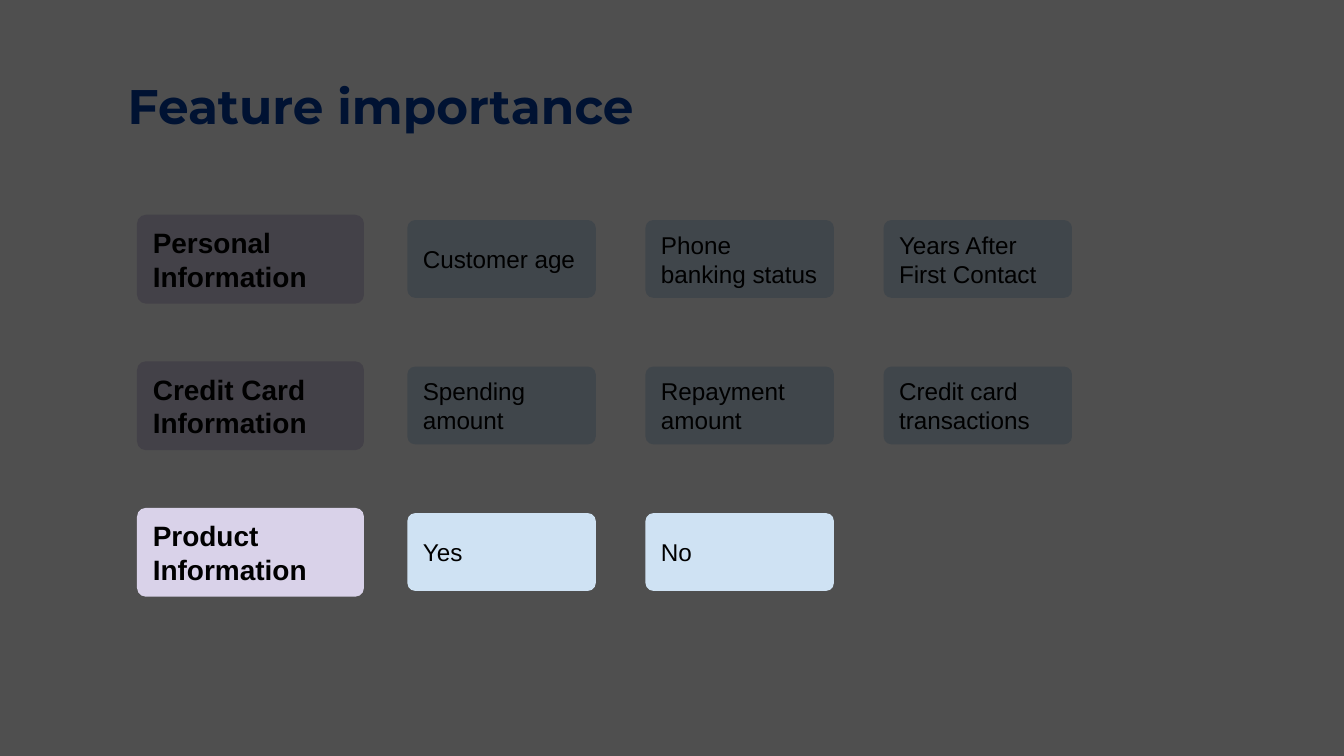
from lxml.etree import SubElement
from pptx import Presentation
from pptx.dml.color import RGBColor
from pptx.enum.shapes import MSO_SHAPE as Kind
from pptx.enum.text import MSO_ANCHOR as Anchor, PP_ALIGN as Align
from pptx.oxml.ns import qn
from pptx.util import Cm, Pt

BLACK = RGBColor(0x00, 0x00, 0x00)
NAVY = RGBColor(0x00, 0x3B, 0xA3)
BLUE = RGBColor(0x4A, 0x8C, 0xFF)
LILAC = RGBColor(0xD9, 0xD2, 0xE9)
SKY = RGBColor(0xCF, 0xE2, 0xF3)

ROWS = [
    ("Personal Information",
     ["Customer age", "Phone banking status", "Years After\nFirst Contact"]),
    ("Credit Card\nInformation",
     ["Spending amount", "Repayment\namount", "Credit card transactions"]),
    ("Product Information", ["Yes", "No"]),
]
TOP, PITCH = 4.06, 2.77
LEFT, STEP = 7.7, 4.5


def write(shape, text, size, font="Arial", color=BLACK, bold=False,
          align=Align.LEFT, anchor=Anchor.MIDDLE):
    frame = shape.text_frame
    frame.text = text
    frame.word_wrap = True
    frame.vertical_anchor = anchor
    frame.margin_left = frame.margin_right = Cm(0.25)
    frame.margin_top = frame.margin_bottom = Cm(0.25)
    for para in frame.paragraphs:
        para.alignment = align
        for run in para.runs:
            run.font.name = font
            run.font.size = Pt(size)
            run.font.bold = bold
            run.font.color.rgb = color


def add_title(slide, text):
    box = slide.shapes.add_textbox(Cm(0), Cm(1.19), Cm(14.4), Cm(1.78))
    write(box, text, 26, "Montserrat", NAVY, True, Align.CENTER, Anchor.TOP)


def add_card(slide, text, x, y, width, height, fill, size, bold=False):
    card = slide.shapes.add_shape(
        Kind.ROUNDED_RECTANGLE, Cm(x), Cm(y), Cm(width), Cm(height))
    card.adjustments[0] = 0.1
    card.shadow.inherit = False
    card.fill.solid()
    card.fill.fore_color.rgb = fill
    card.line.fill.background()
    write(card, text, size, bold=bold)


def add_row(slide, index):
    group, names = ROWS[index]
    y = TOP + index * PITCH
    add_card(slide, group, 2.59, y, 4.29, 1.68, LILAC, 15, True)
    for col, name in enumerate(names):
        add_card(slide, name, LEFT + col * STEP, y + 0.1, 3.56, 1.47, SKY, 13)


def add_shade(slide):
    shade = slide.shapes.add_shape(
        Kind.RECTANGLE, Cm(-6.71), Cm(-0.28), Cm(35.81), Cm(15.7))
    shade.shadow.inherit = False
    shade.fill.solid()
    shade.fill.fore_color.rgb = BLACK
    shade.line.color.rgb = BLUE
    shade.line.width = Pt(0.75)
    tint = shade.fill._xPr.find(qn("a:solidFill"))[0]
    SubElement(tint, qn("a:alpha")).set("val", "69000")


def main():
    deck = Presentation()
    deck.slide_width, deck.slide_height = Cm(25.4), Cm(14.29)
    slide = deck.slides.add_slide(deck.slide_layouts[6])
    add_title(slide, "Feature importance")
    add_row(slide, 0)
    add_row(slide, 1)
    add_shade(slide)
    add_row(slide, 2)
    deck.save("out.pptx")


if __name__ == "__main__":
    main()
